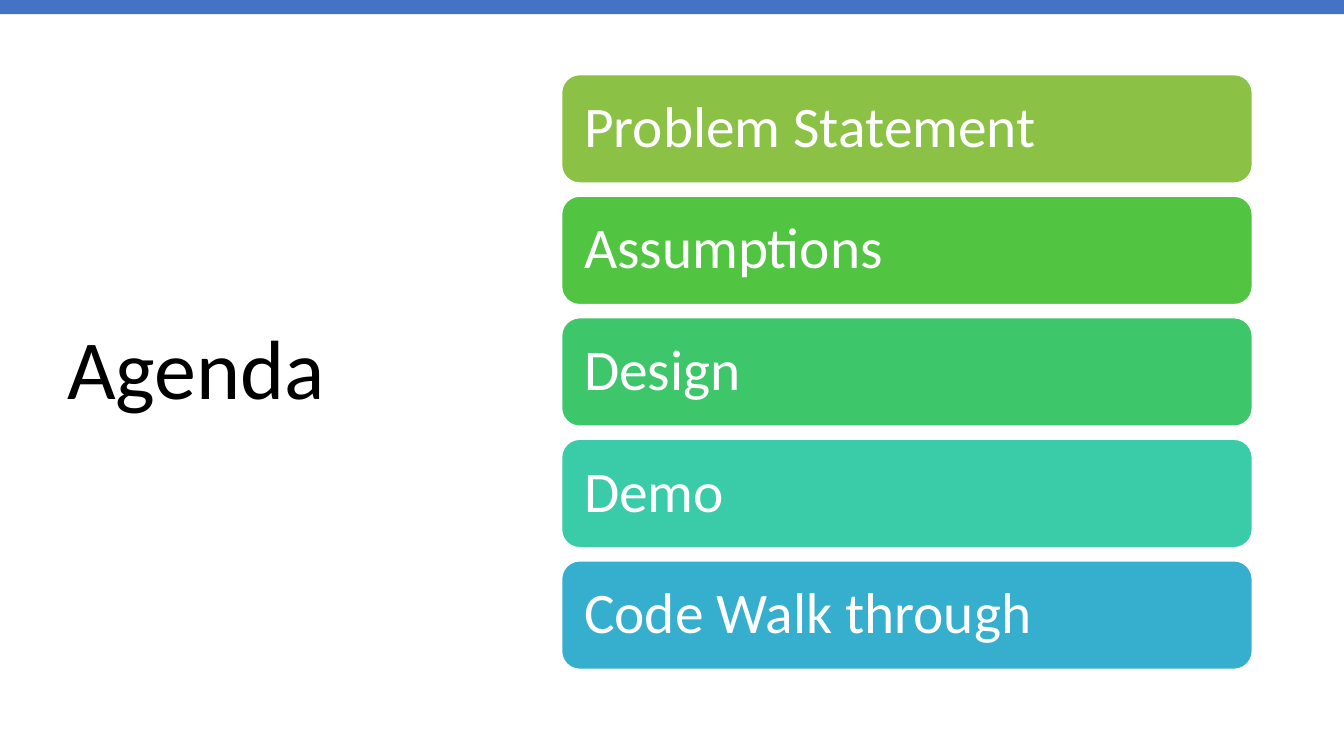
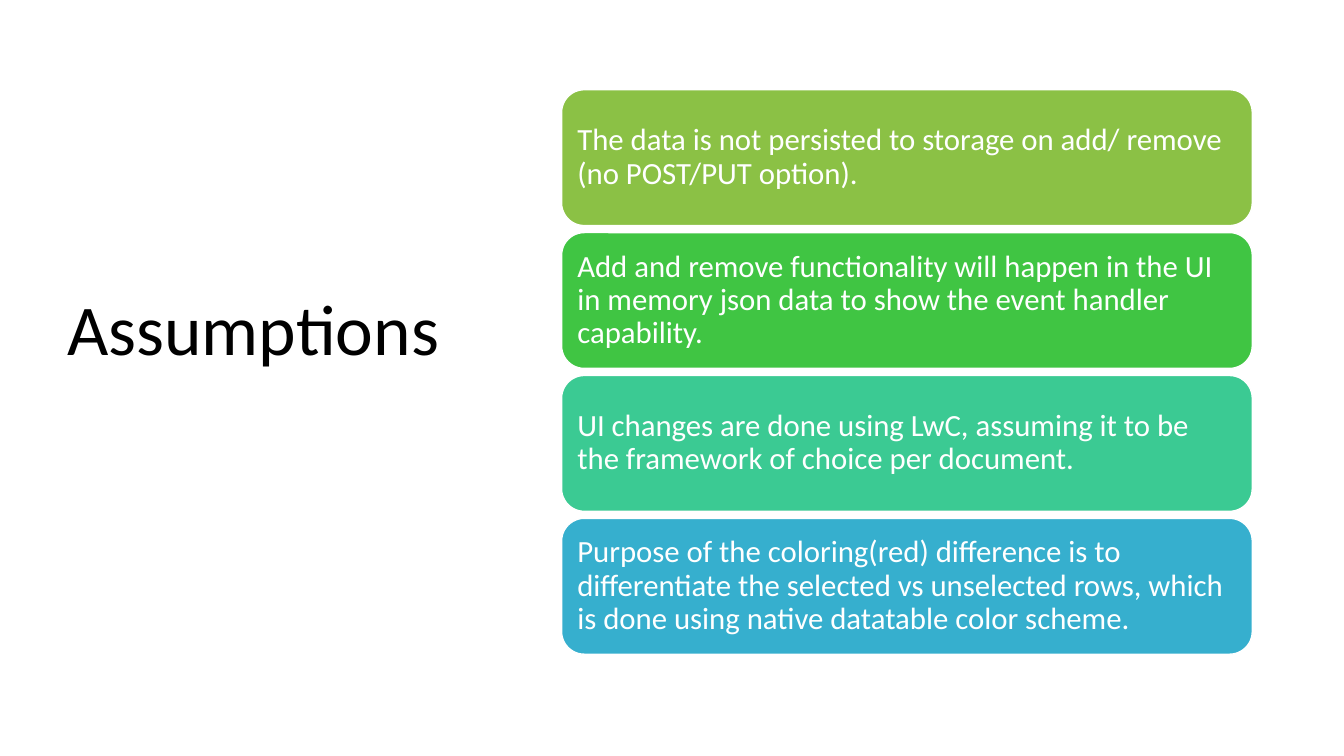
from pptx import Presentation
from pptx.dml.color import RGBColor
from pptx.enum.shapes import MSO_SHAPE
from pptx.enum.text import MSO_ANCHOR, PP_ALIGN
from pptx.util import Inches, Pt

FONT = "Calibri"
BLACK, WHITE, BLUE = "000000", "FFFFFF", "4472C4"
SLIDE_WIDTH, SLIDE_HEIGHT = 13.33, 7.5
TITLE_LEFT, TITLE_TOP, TITLE_WIDTH = 0.57, 0.68, 4.16
CARD_LEFT, CARD_WIDTH = 5.57, 6.85

AGENDA = [
    ("Problem Statement", "8BC145"),
    ("Assumptions", "51C441"),
    ("Design", "3EC76A"),
    ("Demo", "3ACBA8"),
    ("Code Walk through", "36AFCE"),
]
ASSUMPTIONS = [
    ("The data is not persisted to storage on add/ remove (no POST/PUT option).", "8BC145"),
    ("Add and remove functionality will happen in the UI in memory json data "
     "to show the event handler capability.", "40C543"),
    ("UI changes are done using LwC, assuming it to be the framework of choice "
     "per document.", "3BCA93"),
    ("Purpose of the coloring(red) difference is to differentiate the selected vs "
     "unselected rows, which is done using native datatable color scheme.", "36AFCE"),
]


def color(hex_code):
    return RGBColor.from_string(hex_code)


def write_text(shape, text, size, hex_code, inset):
    """Set one left-aligned, vertically centred paragraph in the shape."""
    frame = shape.text_frame
    frame.word_wrap = True
    frame.vertical_anchor = MSO_ANCHOR.MIDDLE
    frame.margin_left = frame.margin_right = Inches(inset)
    frame.margin_top = frame.margin_bottom = Inches(inset)
    frame.text = text
    para = frame.paragraphs[0]
    para.alignment = PP_ALIGN.LEFT
    para.line_spacing = 0.9
    font = para.runs[0].font
    font.name = FONT
    font.size = Pt(size)
    font.color.rgb = color(hex_code)


def add_box(slide, preset, left, top, width, height, fill):
    box = slide.shapes.add_shape(
        preset, Inches(left), Inches(top), Inches(width), Inches(height))
    box.shadow.inherit = False
    box.fill.solid()
    box.fill.fore_color.rgb = color(fill)
    box.line.fill.background()
    return box


def add_title(slide, text, size, height):
    title = slide.shapes.add_textbox(
        Inches(TITLE_LEFT), Inches(TITLE_TOP), Inches(TITLE_WIDTH), Inches(height))
    write_text(title, text, size, BLACK, 0.1)


def add_cards(slide, cards, top, height, gap, size, inset):
    """Stack equal cards that together fill the given height."""
    card_height = (height - gap * (len(cards) - 1)) / len(cards)
    for index, (text, fill) in enumerate(cards):
        card = add_box(slide, MSO_SHAPE.ROUNDED_RECTANGLE, CARD_LEFT,
                       top + index * (card_height + gap), CARD_WIDTH, card_height, fill)
        card.line.color.rgb = color(WHITE)
        card.line.width = Pt(1)
        write_text(card, text, size, WHITE, inset)


def add_blank_slide(deck):
    return deck.slides.add_slide(deck.slide_layouts[6])


def build_agenda(deck):
    slide = add_blank_slide(deck)
    add_box(slide, MSO_SHAPE.RECTANGLE, 0, 0, SLIDE_WIDTH, 0.14, BLUE)
    add_title(slide, "Agenda", 60, height=6.02)
    add_cards(slide, AGENDA, top=0.74, height=5.9, gap=0.13, size=41, inset=0.17)


def build_assumptions(deck):
    slide = add_blank_slide(deck)
    add_title(slide, "Assumptions", 51, height=5.24)
    add_cards(slide, ASSUMPTIONS, top=0.89, height=5.6, gap=0.07, size=22, inset=0.09)


def main():
    deck = Presentation()
    deck.slide_width = Inches(SLIDE_WIDTH)
    deck.slide_height = Inches(SLIDE_HEIGHT)
    build_agenda(deck)
    build_assumptions(deck)
    deck.save("out.pptx")


if __name__ == "__main__":
    main()
